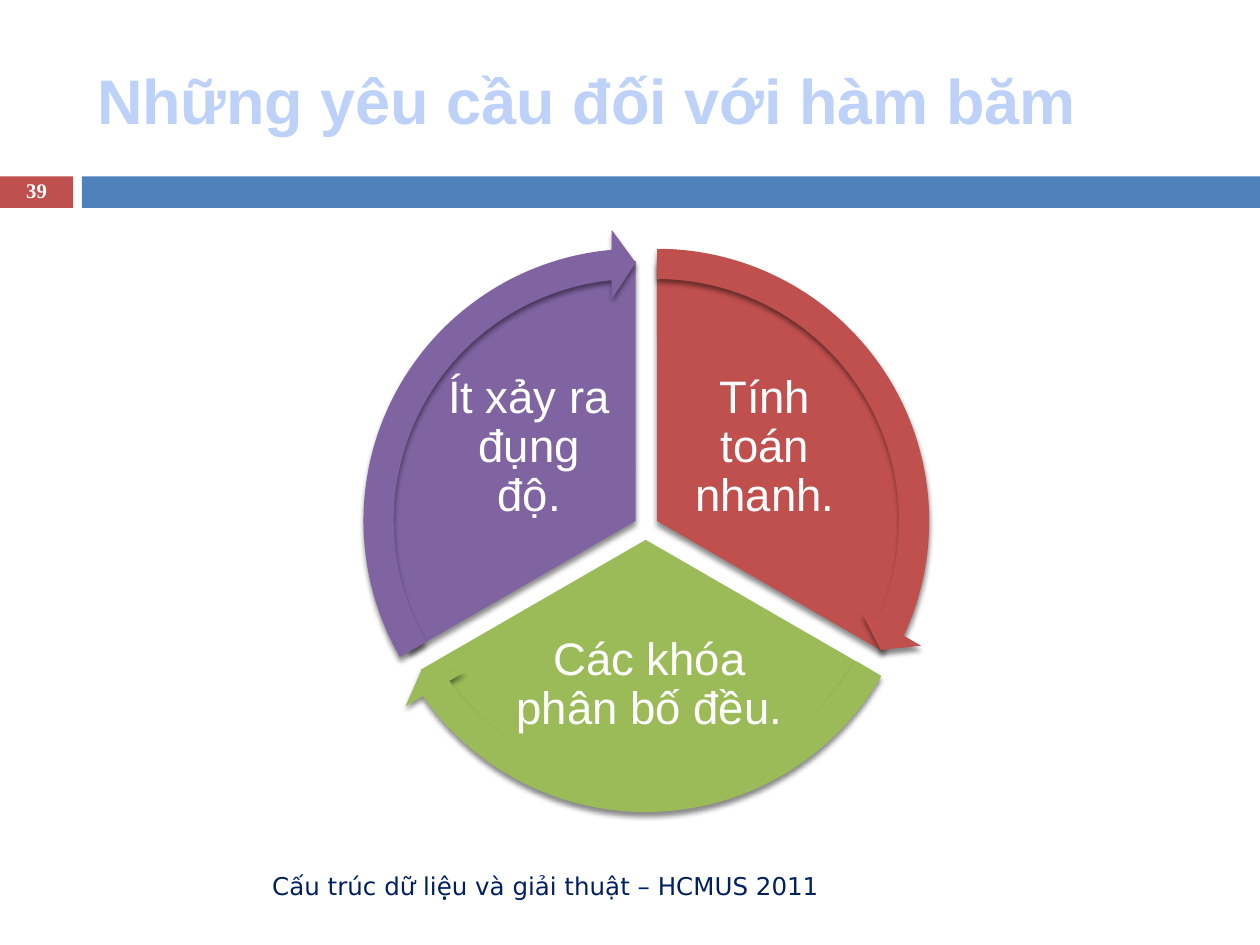
from math import asin, cos, degrees, radians, sin, tan
from lxml.etree import SubElement
from pptx import Presentation
from pptx.dml.color import RGBColor
from pptx.enum.shapes import MSO_SHAPE
from pptx.enum.text import MSO_ANCHOR, PP_ALIGN
from pptx.oxml.ns import qn
from pptx.util import Inches, Pt

COLORS = {"title": "BDD1F9", "footer": "002060", "white": "FFFFFF",
          "number": "C0504D", "bar": "4F81BD",
          "red": "BF504D", "green": "9BBB59", "purple": "8064A2"}
TITLE = "Những yêu cầu đối với hàm băm"
FOOTER = "Cấu trúc dữ liệu và giải thuật – HCMUS 2011"
NUMBER = "39"
BARS = [("number", (0, 1.4, 0.58, 0.25)), ("bar", (0.65, 1.4, 9.35, 0.25))]
# text, colour, pie corner, start angle (degrees clockwise from the right), text box
SECTORS = [
    ("Tính toán nhanh.", "red", (3.15, 2.07), 270, (5.33, 2.94, 1.48, 1.23)),
    ("Các khóa phân bố đều.", "green", (3.06, 2.22), 30, (4.05, 4.9, 2.21, 1.08)),
    ("Ít xảy ra đụng độ.", "purple", (2.98, 2.07), 150, (3.46, 2.94, 1.48, 1.23)),
]
SWEEP, PIE_SIZE, FRAME_SIZE = 120, 4.13, 4.64
ARC_OUT, ARC_IN = 2.16, 1.92
HEAD_OUT, HEAD_IN, HEAD_TIP, HEAD_LEN = 2.31, 1.76, 2.05, 0.19

prs = Presentation()
prs.slide_width, prs.slide_height = Inches(10), Inches(7.5)
slide = prs.slides.add_slide(prs.slide_layouts[5])


def rgb(name):
    return RGBColor.from_string(COLORS[name])


def paint(sp, color):
    sp.shadow.inherit = False
    sp.fill.solid()
    sp.fill.fore_color.rgb = rgb(color)
    sp.line.fill.background()


def add_shadow(sp):
    effects = sp._element.spPr.find(qn("a:effectLst"))
    outer = SubElement(effects, qn("a:outerShdw"), blurRad=str(Pt(3)),
                       dist=str(Pt(2.4)), dir="5400000", rotWithShape="0")
    black = SubElement(outer, qn("a:srgbClr"), val="000000")
    SubElement(black, qn("a:alpha"), val="45000")


def write(sp, text, size, font, color, align, bold=False, spacing=None, inset=None):
    tf = sp.text_frame
    tf.text = text
    tf.word_wrap = True
    tf.vertical_anchor = MSO_ANCHOR.MIDDLE
    if inset is not None:
        tf.margin_left = tf.margin_right = Inches(inset)
        tf.margin_top = tf.margin_bottom = Inches(inset)
    p = tf.paragraphs[0]
    p.alignment = align
    if spacing:
        p.line_spacing = spacing
    f = p.runs[0].font
    f.size, f.name, f.bold = Pt(size), font, bold
    f.color.rgb = rgb(color)


def add_text(box, *args, **kwargs):
    write(slide.shapes.add_textbox(*map(Inches, box)), *args, **kwargs)


def add_pie(corner, start, color):
    sp = slide.shapes.add_shape(MSO_SHAPE.PIE, *map(Inches, corner),
                                Inches(PIE_SIZE), Inches(PIE_SIZE))
    # python-pptx scales adjustments by 100000; angles are in 1/60000 degree
    sp.adjustments[0] = start * 0.6
    sp.adjustments[1] = (start + SWEEP) % 360 * 0.6
    paint(sp, color)
    add_shadow(sp)


def arc_points(radius, first, last):
    """Return the start of an arc, then control, control and end for each of two curves."""
    step = radians(last - first) / 2
    k = 4 / 3 * tan(step / 4)
    a = radians(first)
    points = [(radius * cos(a), radius * sin(a))]
    for a in (a, a + step):
        b = a + step
        points += [(radius * (cos(a) - k * sin(a)), radius * (sin(a) + k * cos(a))),
                   (radius * (cos(b) + k * sin(b)), radius * (sin(b) - k * cos(b))),
                   (radius * cos(b), radius * sin(b))]
    return points


def merge_curve(lines):
    """Turn three line segments into one cubic curve."""
    curve = lines[0].makeelement(qn("a:cubicBezTo"))
    lines[0].addprevious(curve)
    for line in lines:
        curve.append(line[0])
        line.getparent().remove(line)


def set_frame(sp, path, corner):
    """Give the outline a square frame without moving its points."""
    left, top = map(Inches, corner)
    size = Inches(FRAME_SIZE)
    for pt in path.iter(qn("a:pt")):
        pt.set("x", str(int(pt.get("x")) + sp.left - left))
        pt.set("y", str(int(pt.get("y")) + sp.top - top))
    path.set("w", str(size))
    path.set("h", str(size))
    sp.left, sp.top, sp.width, sp.height = left, top, size, size


def add_arc_arrow(corner, start, color):
    """Draw a circular band that ends in an arrowhead at the end of the sector."""
    cx, cy = (v + PIE_SIZE / 2 for v in corner)
    end = start + SWEEP
    a = radians(end)

    def head_point(radius, back):
        return (radius * cos(a) + back * sin(a), radius * sin(a) - back * cos(a))

    def arc_end(radius):
        return end - degrees(asin(HEAD_LEN / radius))

    outer = arc_points(ARC_OUT, start, arc_end(ARC_OUT))
    inner = arc_points(ARC_IN, arc_end(ARC_IN), start)
    head = [head_point(HEAD_OUT, HEAD_LEN), head_point(HEAD_TIP, 0),
            head_point(HEAD_IN, HEAD_LEN)]
    points = [(Inches(cx + x), Inches(cy + y)) for x, y in outer + head + inner]
    builder = slide.shapes.build_freeform(*points[0])
    builder.add_line_segments(points[1:], close=True)
    sp = builder.convert_to_shape()
    path = next(sp._element.iter(qn("a:path")))
    lines = path.findall(qn("a:lnTo"))
    for curve in (lines[:3], lines[3:6], lines[-6:-3], lines[-3:]):
        merge_curve(curve)
    set_frame(sp, path, (cx - FRAME_SIZE / 2, cy - FRAME_SIZE / 2))
    paint(sp, color)
    add_shadow(sp)


for color, box in BARS:
    paint(slide.shapes.add_shape(MSO_SHAPE.RECTANGLE, *map(Inches, box)), color)

title = slide.shapes.title
title.left, title.top, title.width, title.height = map(Inches, (0.67, 0.25, 8.92, 1.08))
write(title, TITLE, 36, "Arial", "title", PP_ALIGN.LEFT, bold=True)

add_text((0.67, 6.83, 5.93, 0.4), FOOTER, 14, "DejaVu Sans", "footer", PP_ALIGN.RIGHT)
add_text((0, 1.39, 0.58, 0.27), NUMBER, 11.9, "Times New Roman", "white",
         PP_ALIGN.CENTER, bold=True, spacing=0.8)

for text, color, corner, start, box in SECTORS:
    add_pie(corner, start, color)
    add_text(box, text, 26, "Arial", "white", PP_ALIGN.CENTER, spacing=0.9, inset=0.04)
for text, color, corner, start, box in SECTORS:
    add_arc_arrow(corner, start, color)

prs.save("out.pptx")
